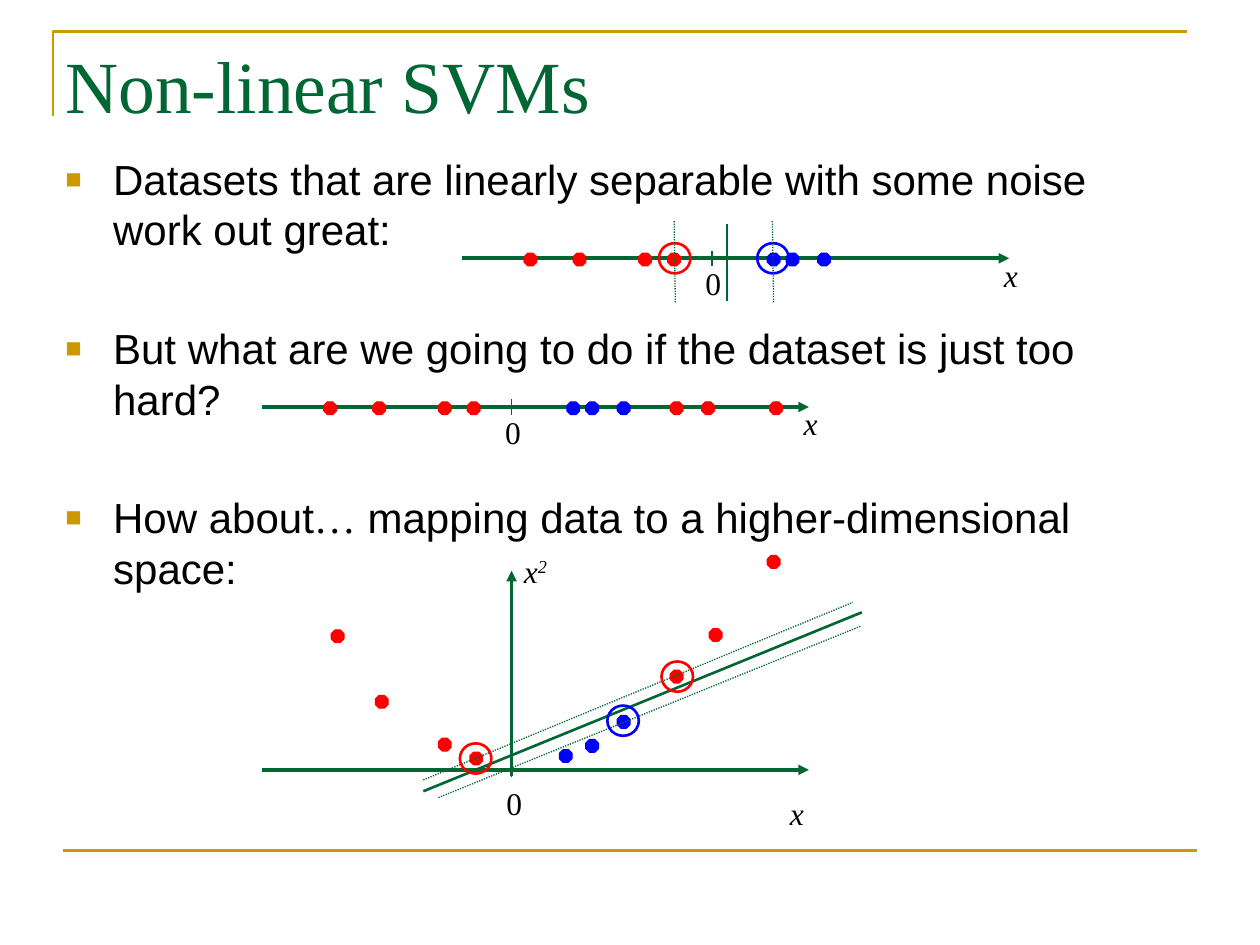
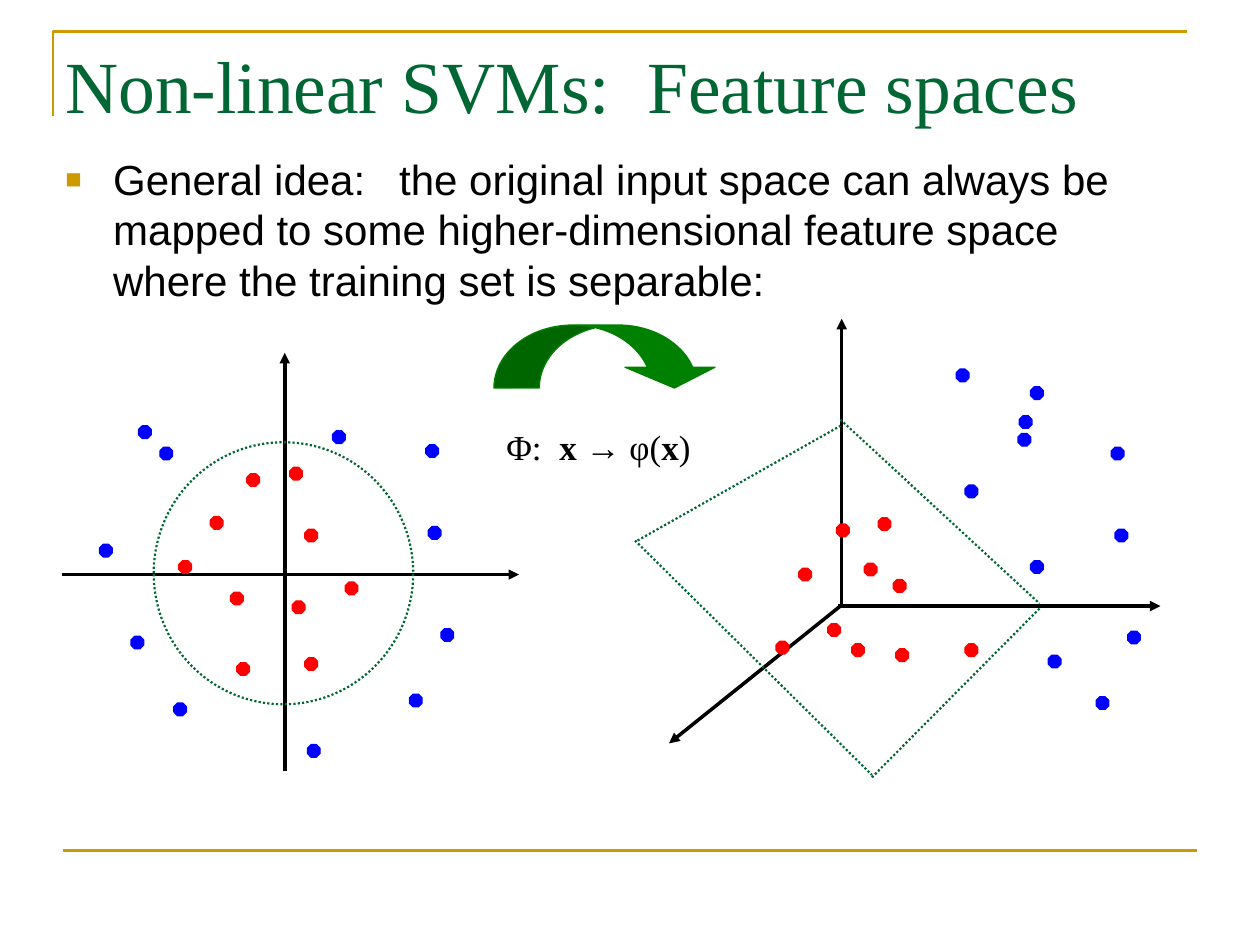
from dataclasses import dataclass
from typing import NamedTuple

from lxml.etree import SubElement
from pptx import Presentation
from pptx.dml.color import RGBColor
from pptx.enum.dml import MSO_LINE
from pptx.enum.shapes import MSO_CONNECTOR, MSO_SHAPE
from pptx.enum.text import MSO_ANCHOR, MSO_AUTO_SIZE
from pptx.oxml.ns import qn
from pptx.util import Inches, Pt

GOLD, GREEN, BLACK = "CC9900", "006633", "000000"
RED, BLUE, ARROW_GREEN = "FF0000", "0000FF", "008000"
SERIF, SANS = "Times New Roman", "Arial"
DOT_SIZE = 0.1
RING_WIDTH, RING_HEIGHT = 0.25, 0.24

Point = tuple[float, float]


class Span(NamedTuple):
    text: str
    font: str = SERIF
    bold: bool = False
    italic: bool = False
    baseline: int = 0


class Bullet(NamedTuple):
    spans: list[Span]
    space_before: float = 0
    tab: float = 0


@dataclass
class Stroke:
    start: Point
    end: Point
    color: str = GREEN
    width: float = 2
    arrow: bool = False
    dotted: bool = False


@dataclass
class Label:
    spans: list[Span]
    left: float
    top: float
    width: float
    height: float = 0.4
    size: float = 18
    color: str = BLACK
    tab: float = 0


def rgb(color: str) -> RGBColor:
    return RGBColor.from_string(color)


def style_line(line, color: str, width: float, dotted: bool = False) -> None:
    line.color.rgb = rgb(color)
    line.width = Pt(width)
    if dotted:
        line.dash_style = MSO_LINE.ROUND_DOT


def draw_stroke(slide, stroke: Stroke) -> None:
    ends = [Inches(value) for value in (*stroke.start, *stroke.end)]
    connector = slide.shapes.add_connector(MSO_CONNECTOR.STRAIGHT, *ends)
    style_line(connector.line, stroke.color, stroke.width, stroke.dotted)
    if stroke.arrow:
        SubElement(connector.line._get_or_add_ln(), qn("a:tailEnd"), type="triangle")
    SubElement(connector._element.spPr, qn("a:effectLst"))


def draw_shape(slide, preset, box: tuple[float, ...], line: str, width: float = 0.75,
               fill: str | None = None, dotted: bool = False):
    shape = slide.shapes.add_shape(preset, *map(Inches, box))
    shape.shadow.inherit = False
    if fill:
        shape.fill.solid()
        shape.fill.fore_color.rgb = rgb(fill)
    else:
        shape.fill.background()
    style_line(shape.line, line, width, dotted)
    return shape


def draw_dots(slide, color: str, corners: list[Point]) -> None:
    for left, top in corners:
        draw_shape(slide, MSO_SHAPE.OCTAGON, (left, top, DOT_SIZE, DOT_SIZE), color, fill=color)


def draw_ring(slide, color: str, left: float, top: float) -> None:
    draw_shape(slide, MSO_SHAPE.OVAL, (left, top, RING_WIDTH, RING_HEIGHT), color, 1.5)


def add_tab(paragraph, position: float) -> None:
    if position:
        tabs = SubElement(paragraph._p.get_or_add_pPr(), qn("a:tabLst"))
        SubElement(tabs, qn("a:tab"), pos=str(Inches(position)), algn="l")


def add_spans(paragraph, spans: list[Span], size: float, color: str) -> None:
    for span in spans:
        run = paragraph.add_run()
        run.text = span.text
        run.font.name = span.font
        run.font.size = Pt(size)
        run.font.bold = span.bold
        run.font.italic = span.italic
        run.font.color.rgb = rgb(color)
        if span.baseline:
            run._r.get_or_add_rPr().set("baseline", str(span.baseline * 1000))


def add_frame(slide, left: float, top: float, width: float, height: float):
    frame = slide.shapes.add_textbox(*map(Inches, (left, top, width, height))).text_frame
    frame.word_wrap = True
    return frame


def draw_label(slide, label: Label):
    frame = add_frame(slide, label.left, label.top, label.width, label.height)
    frame.auto_size = MSO_AUTO_SIZE.SHAPE_TO_FIT_TEXT
    add_tab(frame.paragraphs[0], label.tab)
    add_spans(frame.paragraphs[0], label.spans, label.size, label.color)
    return frame


def draw_title(slide, title: str, width: float, tab: float) -> None:
    frame = draw_label(slide, Label([Span(title)], 0.42, 0.25, width, 0.83, 42, GREEN, tab))
    frame.auto_size = MSO_AUTO_SIZE.NONE
    frame.vertical_anchor = MSO_ANCHOR.MIDDLE


def draw_bullets(slide, bullets: list[Bullet]) -> None:
    frame = add_frame(slide, 0.42, 1.17, 9, 5.5)
    for index, bullet in enumerate(bullets):
        paragraph = frame.paragraphs[0] if index == 0 else frame.add_paragraph()
        properties = paragraph._p.get_or_add_pPr()
        properties.set("marL", str(Inches(0.38)))
        properties.set("indent", str(-Inches(0.38)))
        bullet_color = SubElement(properties, qn("a:buClr"))
        SubElement(bullet_color, qn("a:srgbClr"), val=GOLD)
        SubElement(properties, qn("a:buSzPct"), val="65000")
        SubElement(properties, qn("a:buFont"), typeface=SANS)
        SubElement(properties, qn("a:buChar"), char="■")
        add_tab(paragraph, bullet.tab)
        if bullet.space_before:
            paragraph.space_before = Pt(bullet.space_before)
        add_spans(paragraph, bullet.spans, 24, BLACK)


def add_framed_slide(prs, title: str, title_width: float, bullets: list[Bullet],
                     title_tab: float = 0):
    slide = prs.slides.add_slide(prs.slide_layouts[6])
    corner = slide.shapes.build_freeform(Inches(0.42), Inches(0.92))
    corner.add_line_segments([(Inches(0.42), Inches(0.25)), (Inches(9.42), Inches(0.25))],
                             close=False)
    border = corner.convert_to_shape()
    border.shadow.inherit = False
    border.fill.background()
    style_line(border.line, GOLD, 1.5)
    draw_stroke(slide, Stroke((0.5, 6.75), (9.5, 6.75), GOLD, 1.5))
    draw_title(slide, title, title_width, title_tab)
    draw_bullets(slide, bullets)
    return slide


def draw_axis_label(slide, text: str, left: float, top: float) -> None:
    italic = text != "0"
    draw_label(slide, Label([Span(text, italic=italic)], left, top, 0.5 if italic else 0.38))


def draw_axis(slide, left: float, y: float) -> None:
    draw_stroke(slide, Stroke((left, y), (left + 4.34, y), arrow=True))
    draw_stroke(slide, Stroke((left + 1.98, y - 0.06), (left + 1.98, y + 0.06), width=0.75))


def draw_number_line(slide, left: float, y: float, far_reds: list[float]) -> None:
    draw_axis(slide, left, y)
    draw_axis_label(slide, "0", left + 1.83, y)
    draw_axis_label(slide, "x", left + 4.2, y - 0.07)
    for color, offsets in ((RED, [0.49, 0.88, 1.4, 1.63, *far_reds]), (BLUE, [2.42, 2.57, 2.82])):
        draw_dots(slide, color, [(left + offset, y - 0.04) for offset in offsets])


def build_mapping_slide(prs) -> None:
    slide = add_framed_slide(prs, "Non-linear SVMs", 5.25, [
        Bullet([Span("Datasets that are linearly separable with some noise work out great:", SANS)]),
        Bullet([Span("But what are we going to do if the dataset is just too hard?", SANS)], 39),
        Bullet([Span("How about", SANS), Span("…"),
                Span(" mapping data to a higher-dimensional space:", SANS)], 39),
    ])

    draw_number_line(slide, 2.08, 3.23, [3.24, 3.49, 4.03])
    draw_number_line(slide, 3.67, 2.05, [])
    draw_stroke(slide, Stroke((5.77, 1.78), (5.77, 2.39), width=1.5))
    for color, margin in ((RED, 5.35), (BLUE, 6.13)):
        draw_ring(slide, color, margin - 0.12, 1.93)
        draw_stroke(slide, Stroke((margin + 0.01, 2.4), (margin, 1.75), width=0.75, dotted=True))

    draw_axis(slide, 2.08, 6.11)
    draw_stroke(slide, Stroke((4.06, 6.16), (4.06, 4.53), arrow=True))
    draw_axis_label(slide, "0", 3.92, 6.17)
    draw_axis_label(slide, "x", 6.17, 6.25)
    squared = [Span("x", italic=True), Span("2", italic=True, baseline=30)]
    draw_label(slide, Label(squared, 4.06, 4.33, 0.5))
    draw_dots(slide, RED, [(2.63, 5), (2.98, 5.52), (3.48, 5.86), (3.73, 5.97),
                           (5.32, 5.32), (5.63, 4.99), (6.09, 4.41)])
    draw_dots(slide, BLUE, [(4.44, 5.95), (4.65, 5.87), (4.9, 5.68)])
    draw_stroke(slide, Stroke((3.36, 6.28), (6.84, 4.86), width=1.5))
    for start, end in (((3.36, 6.19), (6.77, 4.78)), ((3.48, 6.33), (6.83, 4.97))):
        draw_stroke(slide, Stroke(start, end, width=0.75, dotted=True))
    for color, left, top in ((RED, 5.25, 5.25), (BLUE, 4.82, 5.6), (RED, 3.65, 5.9)):
        draw_ring(slide, color, left, top)


def build_feature_space_slide(prs) -> None:
    idea = ("General idea:\tthe original input space can always be mapped to some "
            "higher-dimensional feature space where the training set is separable:")
    slide = add_framed_slide(prs, "Non-linear SVMs:\tFeature spaces", 8.5,
                             [Bullet([Span(idea, SANS)], tab=2.65)], 4.62)

    axes = [((2.26, 6.12), (2.26, 2.8)), ((0.49, 4.56), (4.12, 4.56)),
            ((6.68, 4.79), (6.68, 2.53)), ((6.65, 4.81), (9.21, 4.81)),
            ((6.67, 4.81), (5.31, 5.9))]
    for start, end in axes:
        draw_stroke(slide, Stroke(start, end, BLACK, arrow=True))

    draw_dots(slide, RED, [(2.3, 3.71), (1.67, 4.1), (1.83, 4.7), (2.42, 5.22), (1.96, 3.76),
                           (1.42, 4.45), (1.88, 5.26), (2.42, 4.2), (2.74, 4.62), (2.32, 4.77)])
    draw_dots(slide, BLUE, [(3.4, 4.18), (3.25, 5.51), (0.79, 4.32), (2.44, 5.91), (3.5, 4.99),
                            (1.38, 5.58), (1.04, 5.05), (1.1, 3.38), (2.64, 3.42), (1.27, 3.55),
                            (3.38, 3.53)])
    draw_shape(slide, MSO_SHAPE.OVAL, (1.22, 3.51, 2.06, 2.08), GREEN, 1.25, dotted=True)

    draw_dots(slide, RED, [(6.97, 4.11), (6.34, 4.51), (6.76, 5.11), (7.66, 5.11), (6.64, 4.16),
                           (6.86, 4.47), (7.11, 5.15), (7.09, 4.6), (6.57, 4.95), (6.16, 5.09)])
    draw_dots(slide, BLUE, [(8.85, 4.2), (8.7, 5.53), (8.18, 3.07), (8.18, 4.45), (8.95, 5.01),
                            (7.66, 3.85), (8.32, 5.2), (8.09, 3.3), (8.08, 3.44), (7.59, 2.93),
                            (8.82, 3.55)])
    plane_edges = [((6.67, 3.33), (8.25, 4.79)), ((6.92, 6.17), (8.25, 4.83)),
                   ((5.06, 4.29), (6.67, 3.38)), ((5.04, 4.29), (6.92, 6.15))]
    for start, end in plane_edges:
        draw_stroke(slide, Stroke(start, end, width=1.25, dotted=True))

    mapping_arrow = draw_shape(slide, MSO_SHAPE.CURVED_DOWN_ARROW, (3.92, 2.58, 1.79, 0.5),
                               ARROW_GREEN, fill=ARROW_GREEN)
    for index, ratio in enumerate((0.72, 1.43, 0.33)):
        mapping_arrow.adjustments[index] = ratio
    mapping = [Span("Φ:\t"), Span("x → ", bold=True), Span("φ("), Span("x", bold=True), Span(")")]
    draw_label(slide, Label(mapping, 3.92, 3.33, 2.08, 0.43, 20, tab=0.42))


def main() -> None:
    prs = Presentation()
    prs.slide_width, prs.slide_height = Inches(10), Inches(7.5)
    build_mapping_slide(prs)
    build_feature_space_slide(prs)
    prs.save("out.pptx")


if __name__ == "__main__":
    main()
